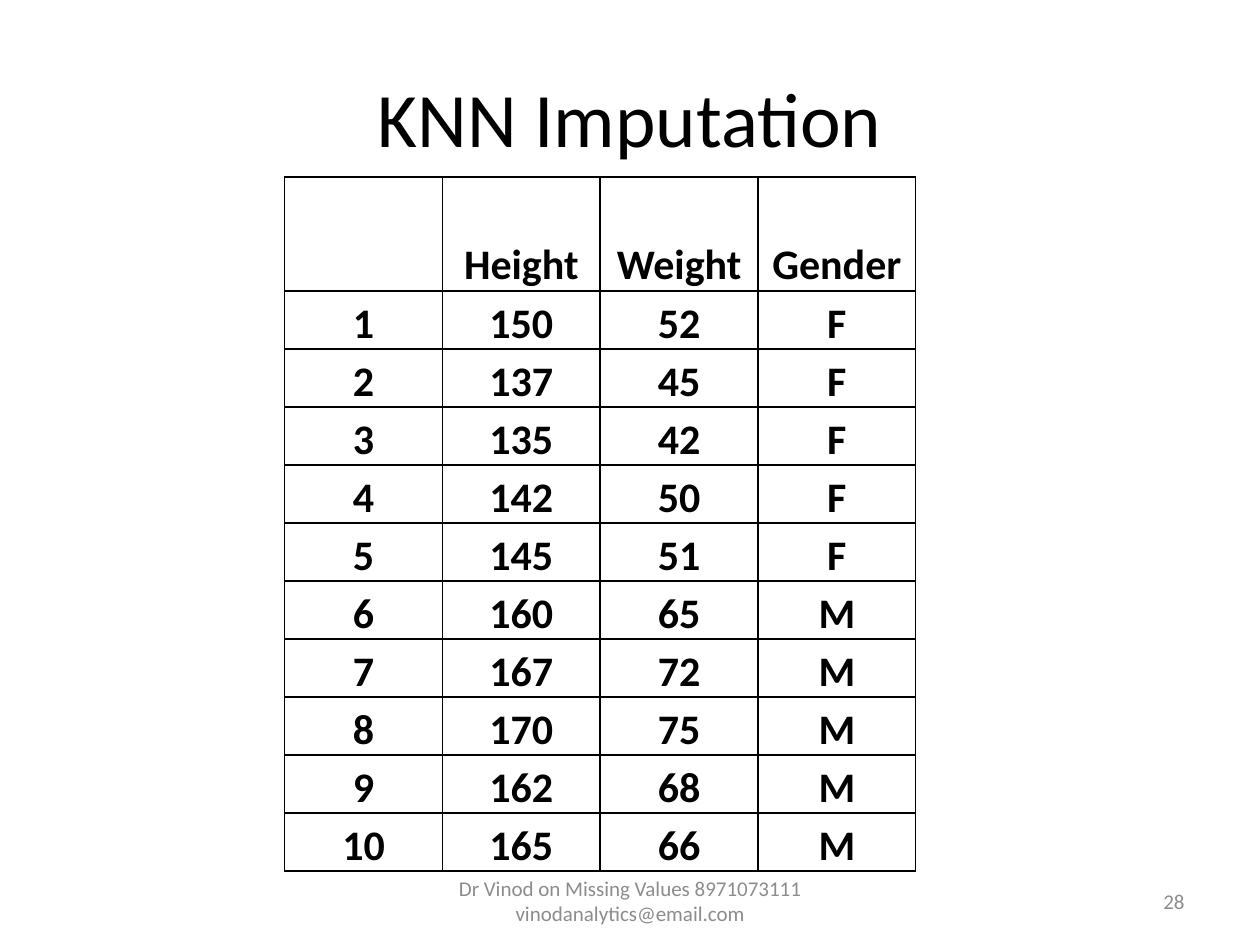
import pptx
import pptx.dml.color
import pptx.enum.text
import pptx.oxml
import pptx.oxml.ns
import pptx.util

Cm = pptx.util.Cm
Pt = pptx.util.Pt
ALIGN = pptx.enum.text.PP_ALIGN
ANCHOR = pptx.enum.text.MSO_ANCHOR

# Content
TITLE = "KNN Imputation"
FOOTER = "Dr Vinod on Missing Values 8971073111 vinodanalytics@email.com"
NUMBER = "28"
HEADS = ["", "Height", "Weight", "Gender"]
PEOPLE = [
    (150, 52, "F"), (137, 45, "F"), (135, 42, "F"), (142, 50, "F"),
    (145, 51, "F"), (160, 65, "M"), (167, 72, "M"), (170, 75, "M"),
    (162, 68, "M"), (165, 66, "M"),
]

THEME = {
    "font": "Calibri",
    "ink": "000000", "muted": "8C8C8C", "paper": "FFFFFF",
    "title": 44, "body": 24, "small": 12, "rule": 1,
}

# Text boxes: text, (left, top, width, height) in cm, size, colour, alignment
BOXES = [
    (TITLE, (1.27, 0.76, 22.86, 3.18), "title", "ink", ALIGN.CENTER),
    (FOOTER, (8.68, 17.65, 8.05, 1.02), "small", "muted", ALIGN.CENTER),
    (NUMBER, (18.2, 17.65, 5.93, 1.02), "small", "muted", ALIGN.RIGHT),
]

# Table measures in cm
LEFT, TOP, COL, HEAD, ROW = 5.74, 3.57, 3.18, 2.3, 1.12
CELL = {
    "vertical_anchor": ANCHOR.BOTTOM,
    "margin_left": Cm(0.18), "margin_right": Cm(0.18),
    "margin_top": 0, "margin_bottom": 0,
}


def put(item, values):
    for name, value in values.items():
        setattr(item, name, value)


def color(name):
    return pptx.dml.color.RGBColor.from_string(THEME[name])


def write(par, text, size, ink, bold=False):
    run = par.add_run()
    run.text = text
    put(run.font, {"name": THEME["font"], "size": Pt(THEME[size]), "bold": bold})
    run.font.color.rgb = color(ink)


def add_text(slide, text, place, size, ink, align):
    box = slide.shapes.add_textbox(*map(Cm, place))
    frame = box.text_frame
    put(frame, {"word_wrap": True, "vertical_anchor": ANCHOR.MIDDLE})
    frame.paragraphs[0].alignment = align
    write(frame.paragraphs[0], text, size, ink)


def add_rules(cell):
    props = cell._tc.get_or_add_tcPr()
    for spot, side in enumerate("LRTB"):
        line = pptx.oxml.parse_xml(
            f'<a:ln{side} {pptx.oxml.ns.nsdecls("a")} w="{Pt(THEME["rule"])}">'
            f'<a:solidFill><a:srgbClr val="{THEME["ink"]}"/></a:solidFill>'
            f'</a:ln{side}>')
        props.insert(spot, line)


def add_grid(slide):
    rows = [HEADS] + [(num, *data) for num, data in enumerate(PEOPLE, 1)]
    highs = [HEAD] + [ROW] * len(PEOPLE)
    frame = slide.shapes.add_table(
        len(rows), len(HEADS), Cm(LEFT), Cm(TOP),
        Cm(COL * len(HEADS)), Cm(sum(highs)))
    table = frame.table
    put(table, {"first_row": False, "horz_banding": False})
    for col in table.columns:
        col.width = Cm(COL)
    for row, high, data in zip(table.rows, highs, rows):
        row.height = Cm(high)
        for cell, value in zip(row.cells, data):
            put(cell, CELL)
            cell.fill.background()
            add_rules(cell)
            par = cell.text_frame.paragraphs[0]
            put(par, {"alignment": ALIGN.CENTER, "line_spacing": 1.15})
            if value:
                write(par, str(value), "body", "ink", True)


def main():
    deck = pptx.Presentation()
    put(deck, {"slide_width": Cm(25.4), "slide_height": Cm(19.05)})
    slide = deck.slides.add_slide(deck.slide_layouts[6])
    fill = slide.background.fill
    fill.solid()
    fill.fore_color.rgb = color("paper")

    # Title, footer and page number, then the data
    for box in BOXES:
        add_text(slide, *box)
    add_grid(slide)
    deck.save("out.pptx")


if __name__ == "__main__":
    main()
